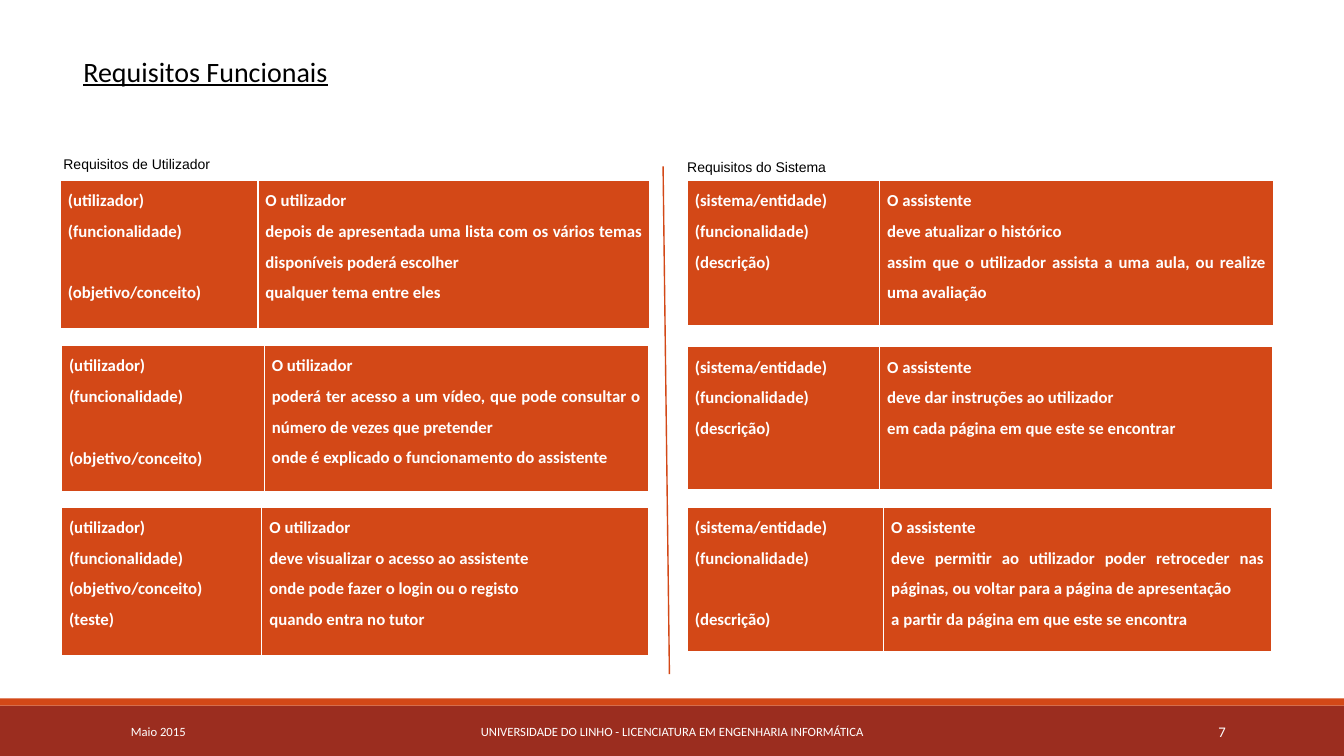
from lxml import etree
from pptx import Presentation
from pptx.dml.color import RGBColor
from pptx.enum.shapes import MSO_CONNECTOR, MSO_SHAPE
from pptx.enum.text import MSO_ANCHOR, PP_ALIGN
from pptx.oxml.ns import qn
from pptx.util import Cm, Pt

RECTANGLE = MSO_SHAPE.RECTANGLE
STRAIGHT = MSO_CONNECTOR.STRAIGHT
TOP, MIDDLE = MSO_ANCHOR.TOP, MSO_ANCHOR.MIDDLE
LEFT, CENTER, RIGHT = PP_ALIGN.LEFT, PP_ALIGN.CENTER, PP_ALIGN.RIGHT
JUSTIFY = PP_ALIGN.JUSTIFY

WHITE = RGBColor(0xFF, 0xFF, 0xFF)
BLACK = RGBColor(0x00, 0x00, 0x00)
ORANGE = RGBColor(0xD3, 0x48, 0x17)
DARK_RED = RGBColor(0x9B, 0x2D, 0x1F)

SLIDE_WIDTH, SLIDE_HEIGHT = 33.87, 19.05
SKIPPED_LINE = Pt(22)  # height of one 12 pt line at 1.5 spacing
BORDERS = {"a:lnL": 1, "a:lnR": 1, "a:lnT": 1, "a:lnB": 3}

# A label of None leaves its line free, beside a description that wraps
USER_LABELS = ["(utilizador)", "(funcionalidade)", None, "(objetivo/conceito)"]
TEST_LABELS = ["(utilizador)", "(funcionalidade)", "(objetivo/conceito)", "(teste)"]
SYSTEM_LABELS = ["(sistema/entidade)", "(funcionalidade)", "(descrição)"]
SPACED_SYSTEM_LABELS = ["(sistema/entidade)", "(funcionalidade)", None, "(descrição)"]

# left, top, label width, description width, height, labels, descriptions
REQUIREMENTS = [
    (1.52, 4.55, 4.98, 9.88, 3.76, USER_LABELS, [
        "O utilizador",
        "depois de apresentada uma lista com os vários temas disponíveis poderá escolher",
        "qualquer tema entre eles"]),
    (1.55, 8.71, 5.11, 9.68, 3.71, USER_LABELS, [
        "O utilizador",
        "poderá ter acesso a um vídeo, que pode consultar o número de vezes que pretender",
        "onde é explicado o funcionamento do assistente"]),
    (1.55, 12.78, 5.05, 9.75, 3.76, TEST_LABELS, [
        "O utilizador",
        "deve visualizar o acesso ao assistente",
        "onde pode fazer o login ou o registo",
        "quando entra no tutor"]),
    (17.32, 4.55, 4.85, 9.93, 3.68, SYSTEM_LABELS, [
        "O assistente",
        "deve atualizar o histórico",
        "assim que o utilizador assista a uma aula, ou realize uma avaliação"]),
    (17.32, 8.74, 4.85, 9.91, 3.63, SYSTEM_LABELS, [
        "O assistente",
        "deve dar instruções ao utilizador",
        "em cada página em que este se encontrar"]),
    (17.32, 12.78, 4.95, 9.78, 3.66, SPACED_SYSTEM_LABELS, [
        "O assistente",
        "deve permitir ao utilizador poder retroceder nas páginas, "
        "ou voltar para a página de apresentação",
        "a partir da página em que este se encontra"]),
]


def add_span(para, text, size, color, font="Calibri"):
    span = para.add_run()
    span.text = text
    span.font.name = font
    span.font.size = Pt(size)
    span.font.color.rgb = color
    return span


def add_text(page, area, text, size, color, align=LEFT, anchor=MIDDLE, font="Calibri"):
    box = page.shapes.add_textbox(*map(Cm, area))
    frame = box.text_frame
    frame.word_wrap = True
    frame.vertical_anchor = anchor
    para = frame.paragraphs[0]
    para.alignment = align
    return add_span(para, text, size, color, font)


def add_band(page, top, height, color):
    band = page.shapes.add_shape(RECTANGLE, 0, Cm(top), Cm(SLIDE_WIDTH), Cm(height))
    band.shadow.inherit = False
    band.fill.solid()
    band.fill.fore_color.rgb = color
    band.line.fill.background()


def add_borders(cell):
    properties = cell._tc.get_or_add_tcPr()
    for tag, width in BORDERS.items():
        line = etree.SubElement(properties, qn(tag), w=str(Pt(width)))
        fill = etree.SubElement(line, qn("a:solidFill"))
        etree.SubElement(fill, qn("a:srgbClr"), val=str(WHITE))


def fill_cell(cell, lines):
    add_borders(cell)
    cell.fill.solid()
    cell.fill.fore_color.rgb = ORANGE
    cell.margin_left = cell.margin_right = Cm(0.19)
    cell.margin_top = cell.margin_bottom = 0
    frame = cell.text_frame
    for index, text in enumerate(lines):
        if text is None:
            continue
        para = frame.add_paragraph() if index else frame.paragraphs[0]
        para.alignment = JUSTIFY
        para.line_spacing = 1.5
        if index and lines[index - 1] is None:
            para.space_before = SKIPPED_LINE
        add_span(para, text, 12, WHITE).font.bold = True


def add_requirement(page, left, top, label_width, description_width, height,
                    labels, descriptions):
    widths = (label_width, description_width)
    frame = page.shapes.add_table(1, 2, Cm(left), Cm(top), Cm(sum(widths)), Cm(height))
    table = frame.table
    table.horz_banding = False
    for column, width in enumerate(widths):
        table.columns[column].width = Cm(width)
    fill_cell(table.cell(0, 0), labels)
    fill_cell(table.cell(0, 1), descriptions)


def add_divider(page, start, end):
    divider = page.shapes.add_connector(STRAIGHT, *map(Cm, start + end))
    divider.line.color.rgb = ORANGE
    divider.line.width = Pt(1)
    etree.SubElement(divider._element.spPr, qn("a:effectLst"))


def main():
    deck = Presentation()
    deck.slide_width, deck.slide_height = Cm(SLIDE_WIDTH), Cm(SLIDE_HEIGHT)
    page = deck.slides.add_slide(deck.slide_layouts[6])

    # Footer
    add_band(page, 17.78, 1.27, DARK_RED)
    add_band(page, 17.6, 0.18, ORANGE)
    add_text(page, (3.05, 17.93, 6.86, 1.02), "Maio 2015", 9, WHITE)
    add_text(page, (10.24, 17.93, 13.39, 1.02),
             "UNIVERSIDADE DO LINHO - LICENCIATURA EM ENGENHARIA INFORMÁTICA",
             9, WHITE, CENTER)
    add_text(page, (27.51, 17.93, 3.63, 1.02), "7", 10.5, WHITE, RIGHT)

    # Title and column captions
    title = add_text(page, (1.85, 1.24, 20.62, 1.12), "Requisitos Funcionais",
                     20, BLACK, anchor=TOP)
    title.font.underline = True
    add_text(page, (1.35, 3.78, 8.79, 0.69), "Requisitos de Utilizador",
             10, BLACK, JUSTIFY, font="Arial")
    add_text(page, (17.07, 3.86, 8.79, 0.69), "Requisitos do Sistema",
             10, BLACK, JUSTIFY, font="Arial")

    # Requirement tables, user on the left and system on the right
    for requirement in REQUIREMENTS:
        add_requirement(page, *requirement)
    add_divider(page, (16.71, 4.19), (16.87, 16.99))

    deck.save("out.pptx")


if __name__ == "__main__":
    main()
